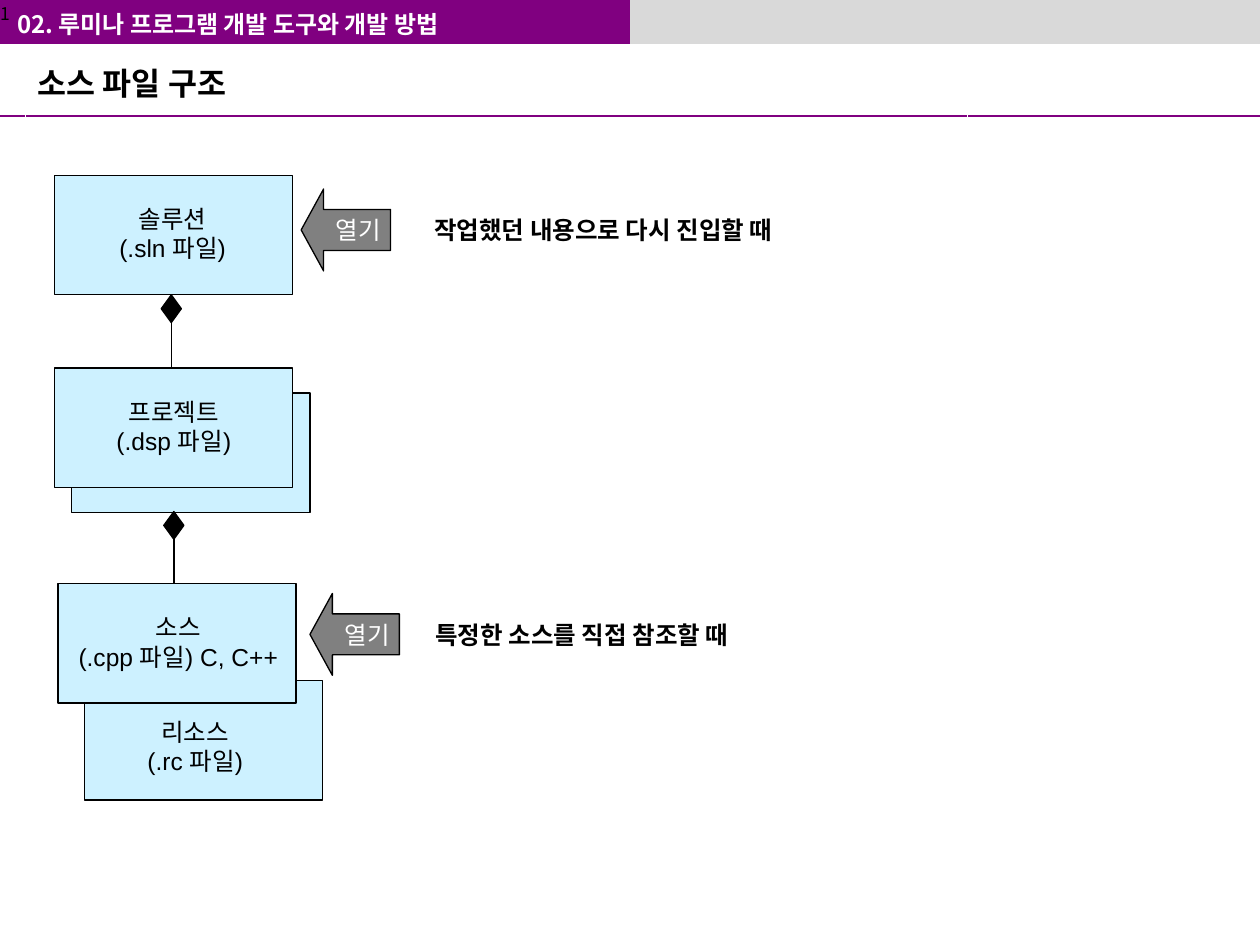
from lxml import etree
from pptx import Presentation
from pptx.dml.color import RGBColor
from pptx.enum.shapes import MSO_CONNECTOR, MSO_SHAPE
from pptx.enum.text import MSO_ANCHOR, PP_ALIGN
from pptx.oxml.ns import qn
from pptx.util import Inches, Pt

RECTANGLE, DIAMOND, LEFT_ARROW = MSO_SHAPE.RECTANGLE, MSO_SHAPE.DIAMOND, MSO_SHAPE.LEFT_ARROW
STRAIGHT = MSO_CONNECTOR.STRAIGHT
LEFT, CENTER = PP_ALIGN.LEFT, PP_ALIGN.CENTER
TOP, MIDDLE = MSO_ANCHOR.TOP, MSO_ANCHOR.MIDDLE

COLORS = {"purple": "800080", "band": "D9D9D9", "box": "CDF1FF",
          "arrow": "808080", "black": "000000", "white": "FFFFFF"}
KOREAN, LATIN = "Noto Sans CJK KR", "Arial"
BOX_W, BOX_H = 1.89, 0.95


def color(name):
    return RGBColor.from_string(COLORS[name])


def write(frame, lines, size, ink="black", bold=False, font=LATIN, align=CENTER, anchor=TOP):
    """Fill a text frame with one paragraph per line."""
    frame.word_wrap = True
    frame.vertical_anchor = anchor
    frame.text = "\n".join(lines)
    for paragraph in frame.paragraphs:
        paragraph.alignment = align
        paragraph.font.size = Pt(size)
        paragraph.font.bold = bold
        paragraph.font.color.rgb = color(ink)
        paragraph.font.name = font
        # East Asian typeface for the Hangul
        latin = paragraph._p.pPr.find(qn("a:defRPr")).find(qn("a:latin"))
        east_asian = etree.Element(qn("a:ea"))
        east_asian.set("typeface", KOREAN)
        latin.addnext(east_asian)


def add_label(slide, x, y, w, h, lines, size=14, **style):
    label = slide.shapes.add_textbox(Inches(x), Inches(y), Inches(w), Inches(h))
    write(label.text_frame, lines, size, **style)


def add_block(slide, kind, x, y, w, h, fill):
    block = slide.shapes.add_shape(kind, Inches(x), Inches(y), Inches(w), Inches(h))
    block.shadow.inherit = False
    block.fill.solid()
    block.fill.fore_color.rgb = color(fill)
    block.line.color.rgb = color("black")
    block.line.width = Pt(0.75)
    return block


def add_file_box(slide, x, y):
    add_block(slide, RECTANGLE, x, y, BOX_W, BOX_H, "box")


def add_rule(slide, x1, y1, x2, y2, ink="black", width=0.75):
    rule = slide.shapes.add_connector(STRAIGHT, Inches(x1), Inches(y1), Inches(x2), Inches(y2))
    rule.line.color.rgb = color(ink)
    rule.line.width = Pt(width)
    etree.SubElement(rule._element.spPr, qn("a:effectLst"))


def add_composition(slide, x, y):
    """Diamond with a stem down to the part it contains."""
    add_block(slide, DIAMOND, x - 0.08, y, 0.16, 0.22, "black")
    add_rule(slide, x, y + 0.21, x, y + 0.57)


def add_open_arrow(slide, x, y):
    arrow = add_block(slide, LEFT_ARROW, x, y, 0.71, 0.65, "arrow")
    arrow.adjustments[0] = 0.5
    arrow.adjustments[1] = 0.274
    add_label(slide, x + 0.1, y + 0.16, 0.71, 0.33, ["열기"], ink="white")


def clear_borders(cell):
    properties = cell._tc.get_or_add_tcPr()
    for position, side in enumerate(("a:lnL", "a:lnR", "a:lnT", "a:lnB")):
        border = etree.Element(qn(side))
        etree.SubElement(border, qn("a:noFill"))
        properties.insert(position, border)


def add_header(slide):
    # Rule below the title and two-tone band
    add_rule(slide, 0, 0.92, 10, 0.92, "purple", 1.25)
    band = slide.shapes.add_table(1, 2, 0, 0, Inches(10), Inches(0.35)).table
    for cell, fill in zip(band.rows[0].cells, ("purple", "band")):
        cell.margin_left = cell.margin_right = cell.margin_top = cell.margin_bottom = 0
        cell.fill.solid()
        cell.fill.fore_color.rgb = color(fill)
        clear_borders(cell)
    write(band.cell(0, 0).text_frame, ["1"], 10, font=KOREAN, align=LEFT)

    # Slide title, drawn above the rule
    title = slide.shapes.title
    title.left, title.top = Inches(0.2), Inches(0.36)
    title.width, title.height = Inches(7.48), Inches(0.6)
    title.line.color.rgb = color("white")
    title.line.width = Pt(0.75)
    write(title.text_frame, ["소스 파일 구조"], 18, bold=True, font=KOREAN,
          align=LEFT, anchor=MIDDLE)
    slide.shapes._spTree.append(title._element)

    # Chapter heading
    add_label(slide, 0.04, -0.11, 7.48, 0.6, ["02. 루미나 프로그램 개발 도구와 개발 방법"],
              size=13.7, ink="white", bold=True, font=KOREAN, align=LEFT, anchor=MIDDLE)


def main():
    prs = Presentation()
    prs.slide_width, prs.slide_height = Inches(10), Inches(7.5)
    slide = prs.slides.add_slide(prs.slide_layouts[5])
    add_header(slide)

    # File boxes, back to front
    for x, y in ((0.57, 3.12), (0.43, 1.39), (0.43, 2.92), (0.67, 5.4), (0.46, 4.63)):
        add_file_box(slide, x, y)
    for x, y in ((1.36, 2.34), (1.38, 4.06)):
        add_composition(slide, x, y)

    # File names
    for x, y, w, lines in (
        (0.62, 1.57, 1.5, ["솔루션", "(.sln 파일)"]),
        (0.63, 3.1, 1.5, ["프로젝트", "(.dsp 파일)"]),
        (0.46, 4.81, 1.91, ["소스", "(.cpp 파일) C, C++"]),
        (0.8, 5.64, 1.5, ["리소스", "(.rc 파일)"]),
    ):
        add_label(slide, x, y, w, 0.57, lines)

    # Ways to open the files
    for arrow_x, arrow_y, caption_x, caption in (
        (2.39, 1.5, 3.07, "작업했던 내용으로 다시 진입할 때"),
        (2.46, 4.71, 2.9, "특정한 소스를 직접 참조할 때"),
    ):
        add_open_arrow(slide, arrow_x, arrow_y)
        add_label(slide, caption_x, arrow_y + 0.16, 3.44, 0.34, [caption], bold=True)

    prs.save("out.pptx")


main()
